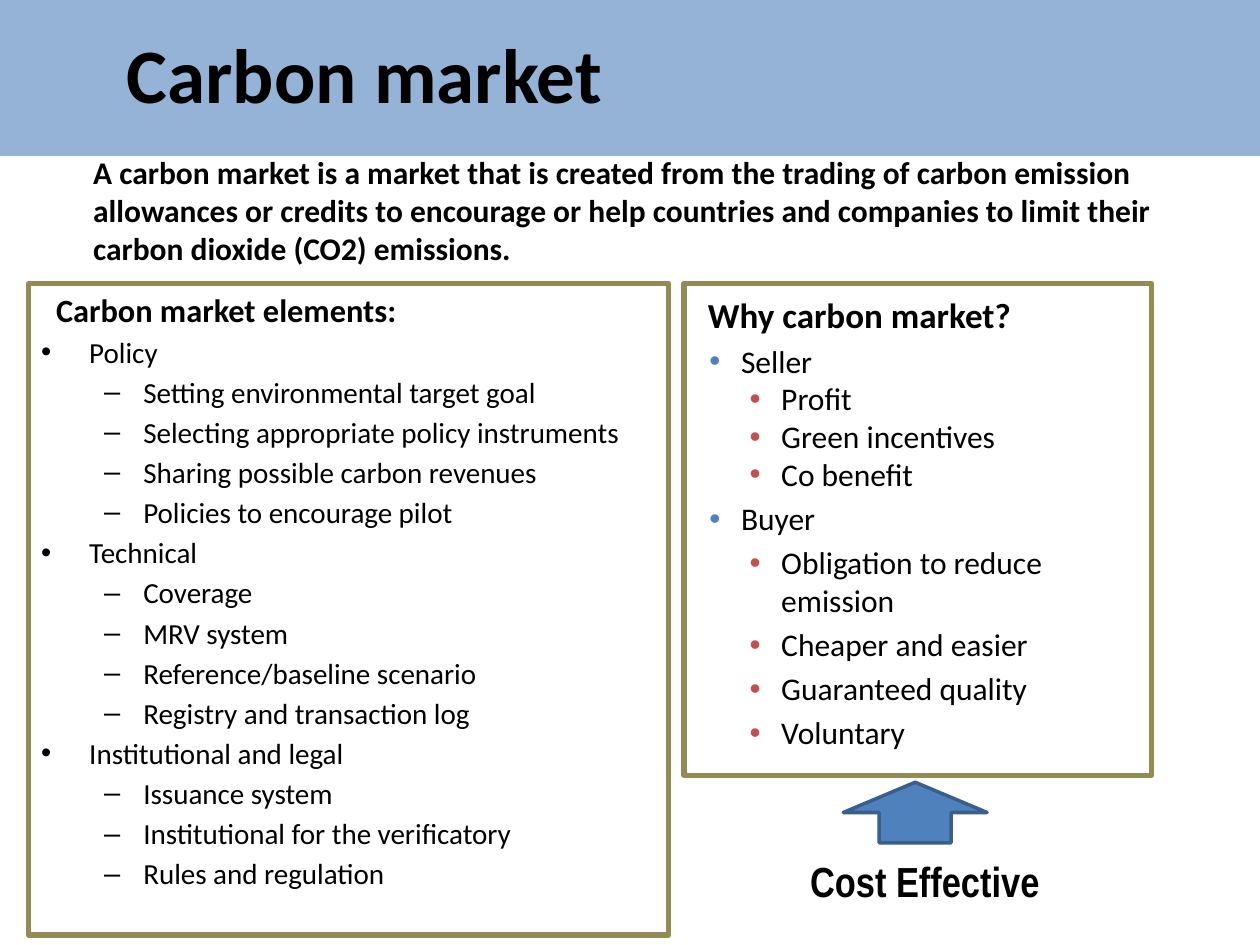
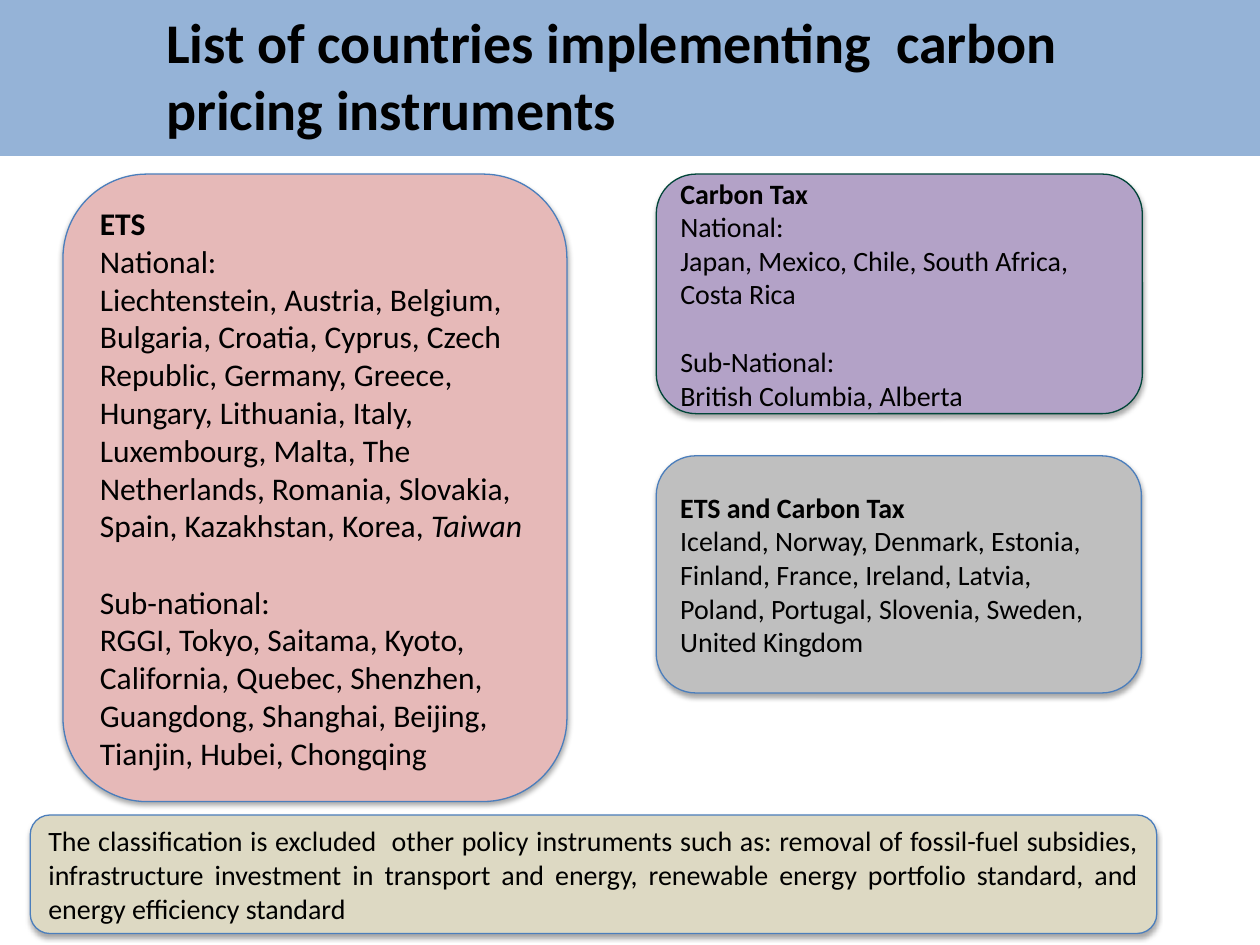
from dataclasses import dataclass
from typing import Optional

from lxml import etree
from pptx import Presentation
from pptx.dml.color import RGBColor
from pptx.enum.shapes import MSO_SHAPE
from pptx.enum.text import MSO_ANCHOR, PP_ALIGN
from pptx.oxml.ns import qn
from pptx.util import Cm, Pt

RECT = MSO_SHAPE.RECTANGLE
ROUND = MSO_SHAPE.ROUNDED_RECTANGLE
ARROW = MSO_SHAPE.UP_ARROW
TOP = MSO_ANCHOR.TOP
MIDDLE = MSO_ANCHOR.MIDDLE
LEFT = PP_ALIGN.LEFT
JUST = PP_ALIGN.JUSTIFY

FONT = "Calibri"
NARROW = "Arial Narrow"
HUES = {
    "ink": "000000",
    "band": "95B3D7",
    "frame": "948A54",
    "blue": "4F81BD",
    "red": "C0504D",
    "navy": "3A5F8C",
    "edge": "4B7EBC",
    "green": "004538",
    "pink": "E6B9B8",
    "purple": "B3A2C7",
    "grey": "BFBFBF",
    "sand": "DDD9C3",
}


@dataclass(frozen=True)
class Box:
    left: float
    top: float
    width: float
    height: float

    def lengths(self) -> tuple:
        return Cm(self.left), Cm(self.top), Cm(self.width), Cm(self.height)


@dataclass(frozen=True)
class Style:
    size: float
    bold: bool = False
    margin: float = 0
    hang: float = 0
    mark: str = ""
    hue: str = "ink"
    before: float = 0
    font: str = FONT
    align: PP_ALIGN = LEFT


@dataclass(frozen=True)
class Row:
    text: str
    style: Style
    slant: str = ""


@dataclass(frozen=True)
class Look:
    fill: Optional[str]
    line: str
    weight: float


@dataclass(frozen=True)
class Card:
    box: Box
    fill: str
    line: str
    rows: list


def paint_text(frame, rows: list, anchor=TOP, wrap: bool = True) -> None:
    frame.word_wrap = wrap
    frame.vertical_anchor = anchor
    for i, row in enumerate(rows):
        para = frame.paragraphs[0] if i == 0 else frame.add_paragraph()
        style = row.style
        props = para._p.get_or_add_pPr()
        props.set("marL", str(Cm(style.margin)))
        props.set("indent", str(-Cm(style.hang)))
        if style.mark:
            tint = etree.SubElement(props, qn("a:buClr"))
            etree.SubElement(tint, qn("a:srgbClr"), val=HUES[style.hue])
            etree.SubElement(props, qn("a:buFont"), typeface="Arial")
            etree.SubElement(props, qn("a:buChar"), char=style.mark)
        para.alignment = style.align
        if i and style.before:
            para.space_before = Pt(style.before)
        for text, slant in ((row.text, False), (row.slant, True)):
            if text:
                run = para.add_run()
                run.text = text
                font = run.font
                font.name = style.font
                font.size = Pt(style.size)
                font.bold = style.bold
                font.italic = slant
                font.color.rgb = RGBColor.from_string(HUES["ink"])


def add_text(slide, box: Box, rows: list, anchor=TOP, wrap: bool = True) -> None:
    shape = slide.shapes.add_textbox(*box.lengths())
    paint_text(shape.text_frame, rows, anchor, wrap)


def add_form(slide, kind, box: Box, look: Look):
    shape = slide.shapes.add_shape(kind, *box.lengths())
    shape.shadow.inherit = False
    if look.fill:
        shape.fill.solid()
        shape.fill.fore_color.rgb = RGBColor.from_string(HUES[look.fill])
    else:
        shape.fill.background()
    shape.line.color.rgb = RGBColor.from_string(HUES[look.line])
    shape.line.width = Pt(look.weight)
    return shape


def add_card(slide, card: Card) -> None:
    shape = add_form(slide, ROUND, card.box, Look(card.fill, card.line, 0.75))
    glow = shape._element.spPr.find(qn("a:effectLst"))
    shade = etree.SubElement(
        glow, qn("a:outerShdw"), blurRad=str(Pt(3.1)), dist=str(Pt(1.8)),
        dir="5400000", rotWithShape="0",
    )
    tint = etree.SubElement(shade, qn("a:srgbClr"), val=HUES["ink"])
    etree.SubElement(tint, qn("a:alpha"), val="35000")
    paint_text(shape.text_frame, card.rows, MIDDLE)


def add_page(deck, title: str, size: float, box: Box):
    slide = deck.slides.add_slide(deck.slide_layouts[6])
    add_form(slide, RECT, Box(0, 0, 25.4, 3.12), Look("band", "band", 2))
    add_text(slide, box, [Row(title, Style(size, True))], MIDDLE)
    return slide


def build_market(deck) -> None:
    slide = add_page(deck, "Carbon market", 44, Box(2.31, 0.18, 20.14, 2.57))

    part = Style(16.6, margin=0.97, hang=0.97, mark="•", before=3)
    item = Style(16.6, margin=2.06, hang=0.79, mark="–", before=3)
    parts = {
        "Policy": (
            "Setting environmental target goal",
            "Selecting appropriate policy instruments",
            "Sharing possible carbon revenues",
            "Policies to encourage pilot",
        ),
        "Technical": (
            "Coverage",
            "MRV system",
            "Reference/baseline scenario",
            "Registry and transaction log",
        ),
        "Institutional and legal": (
            "Issuance system",
            "Institutional for the verificatory",
            "Rules and regulation",
        ),
    }
    rows = [Row("Carbon market elements:", Style(18.5, True, margin=0.3))]
    for name, items in parts.items():
        rows.append(Row(name, part))
        rows.extend(Row(text, item) for text in items)
    add_text(slide, Box(0.58, 5.72, 12.9, 13.33), rows)

    intro = (
        "A carbon market is a market that is created from the trading of carbon "
        "emission allowances or credits to encourage or help countries and "
        "companies to limit their carbon dioxide (CO2) emissions."
    )
    add_text(slide, Box(1.63, 2.97, 21.84, 2.57), [Row(intro, Style(18, True))])

    for box in (Box(0.58, 5.72, 12.9, 13.13), Box(13.79, 5.72, 9.42, 9.91)):
        add_form(slide, RECT, box, Look(None, "frame", 3))

    side = Style(18, margin=0.97, hang=0.64, mark="•", hue="blue", before=3.6)
    tight = Style(18, margin=1.78, hang=0.64, mark="•", hue="red")
    loose = Style(18, margin=1.78, hang=0.64, mark="•", hue="red", before=3.6)
    sides = (
        ("Seller", tight, ("Profit", "Green incentives", "Co benefit")),
        ("Buyer", loose, (
            "Obligation to reduce emission",
            "Cheaper and easier",
            "Guaranteed quality",
            "Voluntary",
        )),
    )
    rows = [Row("Why carbon market?", Style(20, True, margin=0.3))]
    for name, style, gains in sides:
        rows.append(Row(name, side))
        rows.extend(Row(text, style) for text in gains)
    add_text(slide, Box(13.72, 5.79, 9.5, 13.26), rows)

    add_form(slide, ARROW, Box(17, 15.77, 2.9, 1.22), Look("blue", "navy", 2))
    cost = Row("Cost Effective", Style(24, True, font=NARROW))
    add_text(slide, Box(16.08, 17.12, 5.18, 1.27), [cost], wrap=False)


def build_list(deck) -> None:
    title = "List of countries implementing  carbon pricing instruments"
    slide = add_page(deck, title, 32, Box(3.1, -0.08, 18.8, 3.18))

    head, body = Style(16, True), Style(16)
    big = Style(18)
    cards = (
        Card(Box(13.23, 3.51, 9.8, 4.83), "purple", "green", [
            Row("Carbon Tax", head),
            Row("National:", body),
            Row("Japan, Mexico, Chile, South Africa, Costa Rica", body),
            Row("Sub-National:", Style(16, before=19.5)),
            Row("British Columbia, Alberta", body),
        ]),
        Card(Box(1.27, 3.51, 10.16, 12.65), "pink", "edge", [
            Row("ETS", Style(18, True)),
            Row("National:", big),
            Row(
                "Liechtenstein, Austria, Belgium, Bulgaria, Croatia, Cyprus, "
                "Czech Republic, Germany, Greece, Hungary, Lithuania, Italy, "
                "Luxembourg, Malta, The Netherlands, Romania, Slovakia, Spain, "
                "Kazakhstan, Korea, ", big, "Taiwan",
            ),
            Row("Sub-national:", Style(18, before=22)),
            Row(
                "RGGI, Tokyo, Saitama, Kyoto, California, Quebec, Shenzhen, "
                "Guangdong, Shanghai, Beijing, Tianjin, Hubei, Chongqing", big,
            ),
        ]),
        Card(Box(13.23, 9.19, 9.78, 4.78), "grey", "edge", [
            Row("ETS and Carbon Tax", head),
            Row(
                "Iceland, Norway, Denmark, Estonia, Finland, France, Ireland, "
                "Latvia, Poland, Portugal, Slovenia, Sweden, United Kingdom", body,
            ),
        ]),
        Card(Box(0.61, 16.43, 22.71, 2.39), "sand", "edge", [
            Row(
                "The classification is excluded  other policy instruments such as: "
                "removal of fossil-fuel subsidies, infrastructure investment in "
                "transport and energy, renewable energy portfolio standard, and "
                "energy efficiency standard", Style(16, align=JUST),
            ),
        ]),
    )
    for card in cards:
        add_card(slide, card)


def main() -> None:
    deck = Presentation()
    deck.slide_width, deck.slide_height = Cm(25.4), Cm(19.05)
    build_market(deck)
    build_list(deck)
    deck.save("out.pptx")


if __name__ == "__main__":
    main()
